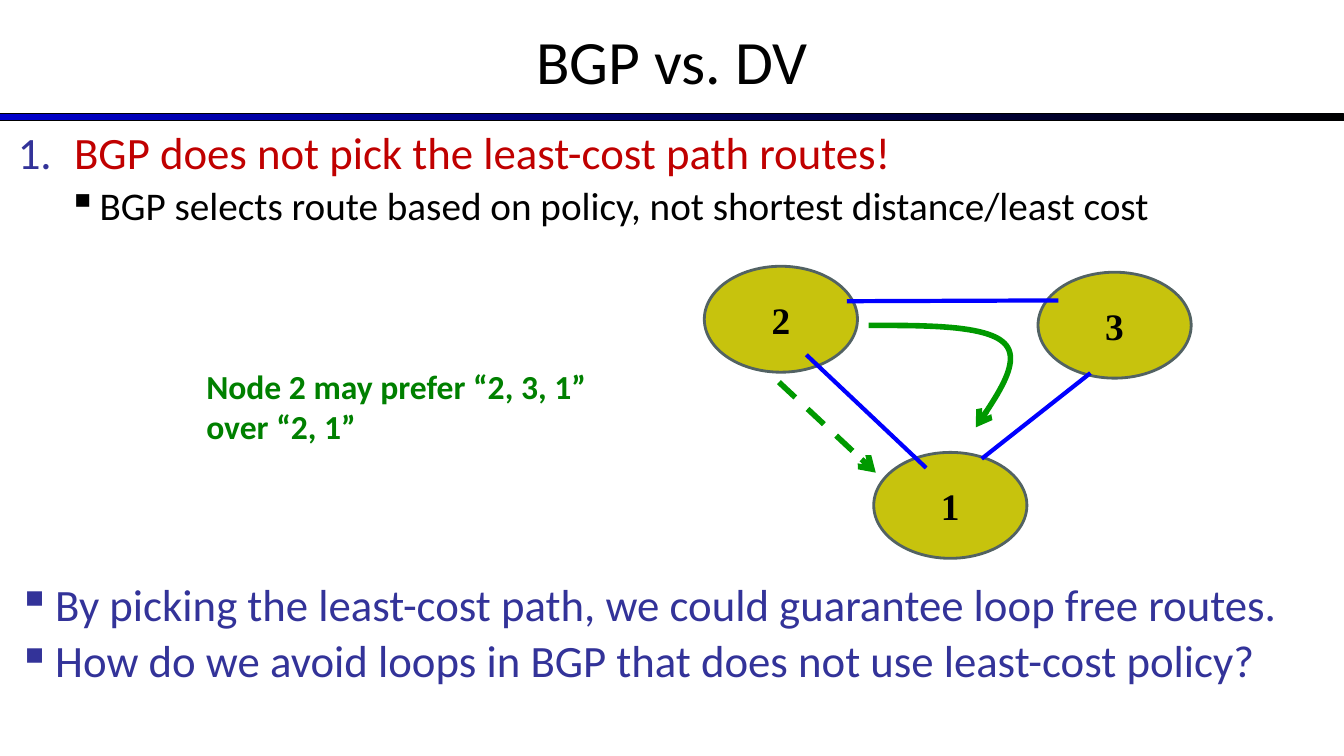
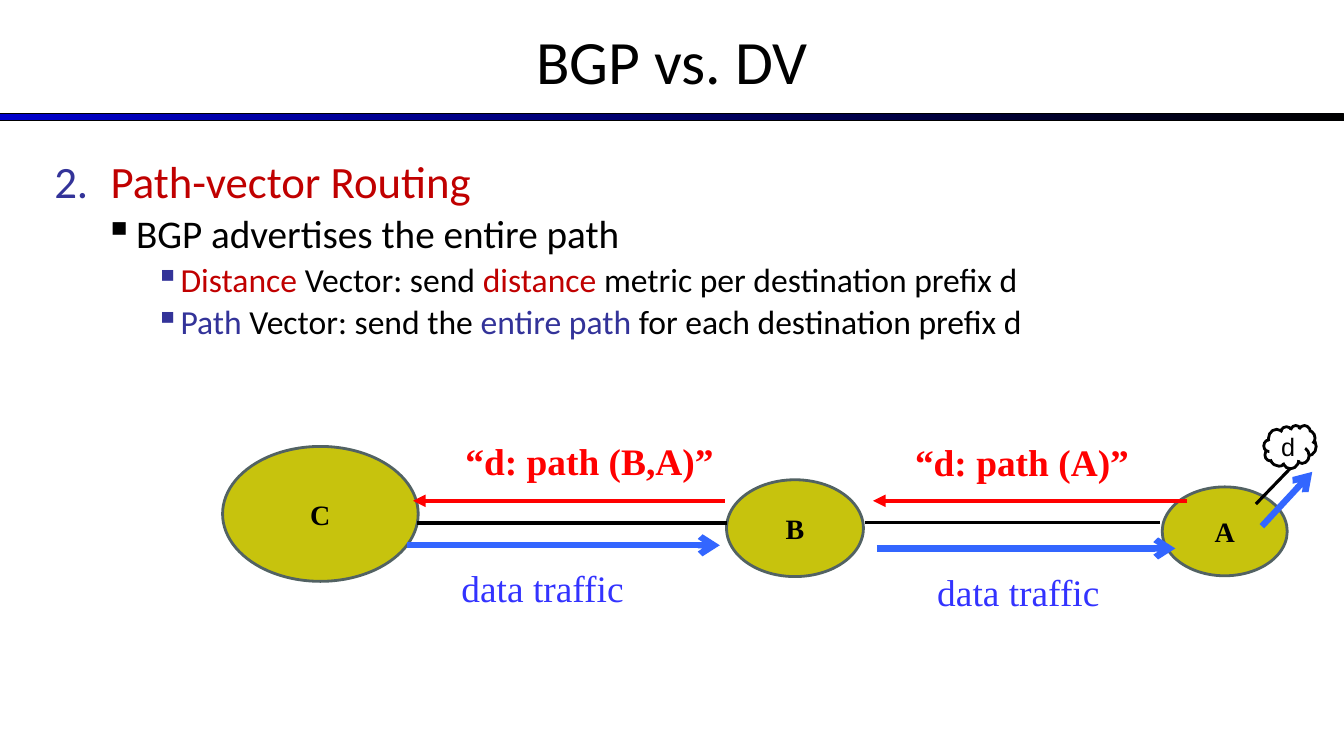
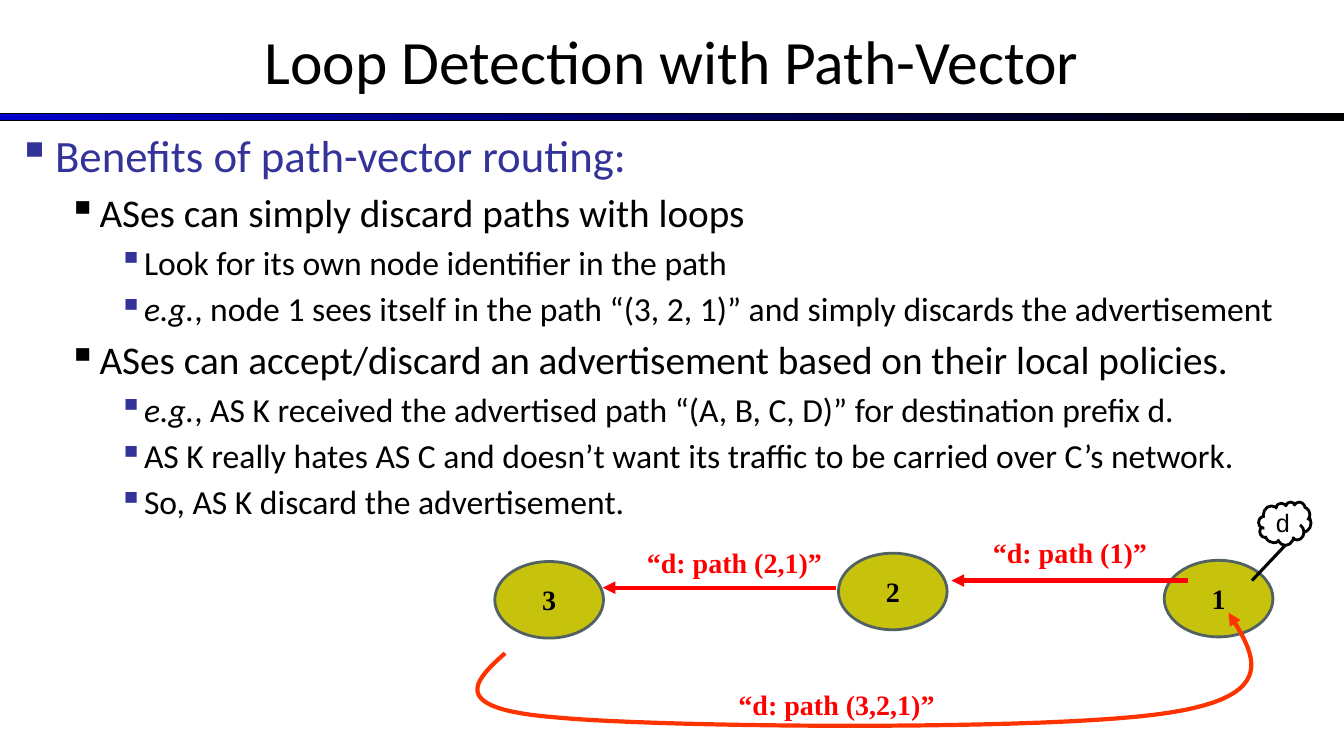
import pptx
import pptx.dml.color
import pptx.enum.dml
import pptx.enum.shapes
import pptx.enum.text
import pptx.oxml
import pptx.oxml.ns
import pptx.util

Cm, Pt = pptx.util.Cm, pptx.util.Pt
RGB = pptx.dml.color.RGBColor
SHAPE = pptx.enum.shapes.MSO_SHAPE
ALIGN = pptx.enum.text.PP_ALIGN
ANCHOR = pptx.enum.text.MSO_ANCHOR

BLACK = RGB(0x00, 0x00, 0x00)
BAND_BLUE = RGB(0x00, 0x00, 0xCC)
INDIGO = RGB(0x33, 0x33, 0x99)
CRIMSON = RGB(0xC0, 0x00, 0x00)
OLIVE = RGB(0xC5, 0xC0, 0x00)
SLATE = RGB(0x52, 0x62, 0x63)
BLUE = RGB(0x00, 0x00, 0xFF)
TRAFFIC_LINE = RGB(0x33, 0x66, 0xFF)
TRAFFIC_TEXT = RGB(0x33, 0x33, 0xFF)
GREEN = RGB(0x00, 0x99, 0x00)
DARK_GREEN = RGB(0x00, 0x80, 0x00)
RED = RGB(0xFF, 0x00, 0x00)
ORANGE_RED = RGB(0xFF, 0x33, 0x00)

SANS, SERIF = "Calibri", "Times New Roman"
SLIDE_W, SLIDE_H = 33.87, 19.05

# Outline levels: size, text colour, bullet colour, left margin, hanging indent
LEVELS = [
    (32, INDIGO, INDIGO, 0.94, 0.94),
    (28, BLACK, BLACK, 2.06, 0.79),
    (24, BLACK, INDIGO, 3.18, 0.64),
]
NUMBER_INDENT = 1.42

# Line styles: colour, width, arrowhead, dashed
LINK = (BLACK, 2.25, None, False)
PEERING = (BLUE, 3, None, False)
DIRECT = (GREEN, 4, "arrow", True)
PREFERRED = (GREEN, 4, "arrow", False)
TRAFFIC = (TRAFFIC_LINE, 4.5, "arrow", False)
ADVERT = (RED, 3, "triangle", False)
LOOP = (ORANGE_RED, 3, "triangle", False)

# Outlines: (left, top, width, height), line spacing, paragraphs.
# Paragraph: level, first number or None, runs of (text, colour, italic).
# Nodes: text, left, top. Lines: style, from, to. Labels: text, left, top, width.
SLIDES = [
    {
        "title": "BGP vs. DV",
        "outlines": [
            ((0.2, 3.18, 32.59, 2.6), 0.9, [
                (0, 1, [("BGP does not pick the least-cost path routes!", CRIMSON, False)]),
                (1, None, ["BGP selects route based on policy, not shortest distance/least cost"]),
            ]),
            ((0.2, 14.55, 33, 3), 0.9, [
                (0, None, ["By picking the least-cost path, we could guarantee loop free routes."]),
                (0, None, ["How do we avoid loops in BGP that does not use least-cost policy?"]),
            ]),
        ],
        "node_font": 26.7,
        "nodes": [("3", 26.16, 6.86, 3.86, 2.67), ("2", 17.75, 6.71, 3.86, 2.67),
                  ("1", 22.02, 11.4, 3.86, 2.67)],
        "lines": [
            (PEERING, (21.34, 7.59), (26.67, 7.57)),
            (PEERING, (27.48, 9.4), (24.74, 11.56)),
            (PEERING, (20.32, 8.94), (23.34, 11.79)),
            (DIRECT, (19.63, 9.63), (22.07, 11.91)),
        ],
        "curve": (PREFERRED, [(21.89, 8.2), (23.37, 8.2), (24.84, 8.2), (25.3, 8.64),
                              (25.76, 9.07), (25.17, 9.91), (24.59, 10.77)]),
        "note": ("Node 2 may prefer “2, 3, 1” over “2, 1”", (4.95, 9.09, 10.85, 2.31)),
    },
    {
        "title": "BGP vs. DV",
        "outlines": [
            ((1.12, 3.89, 31.47, 5.5), 0.9, [
                (0, 2, [("Path-vector Routing", CRIMSON, False)]),
                (1, None, ["BGP advertises the entire path"]),
                (2, None, [("Distance", CRIMSON, False), " Vector: send ",
                           ("distance", CRIMSON, False), " metric per destination prefix d"]),
                (2, None, [("Path", INDIGO, False), " Vector: send the ",
                           ("entire path ", INDIGO, False), "for each destination prefix d"]),
            ]),
        ],
        "node_font": 20,
        "nodes": [("A", 29.29, 12.27, 3.15, 2.24), ("B", 18.31, 12.09, 3.45, 2.44),
                  ("C", 5.61, 11.25, 4.93, 3.4)],
        "lines": [
            (TRAFFIC, (22.1, 13.82), (29.62, 13.82)),
            (TRAFFIC, (10.26, 13.74), (18.14, 13.74)),
            (TRAFFIC, (31.8, 13.26), (33.07, 11.89)),
            (ADVERT, (18.26, 12.62), (10.41, 12.62)),
            (ADVERT, (29.92, 12.62), (22, 12.62)),
            (LINK, (32.51, 11.81), (31.65, 12.7)),
            (LINK, (10.52, 13.18), (18.31, 13.18)),
            (LINK, (21.79, 13.16), (29.24, 13.16)),
        ],
        "label_font": 26.7,
        "adverts": [("“d: path (B,A)”", 11.48, 10.92, 6.83), ("“d: path (A)”", 22.81, 10.95, 5.97)],
        "traffic": [("data traffic", 11.38, 14.12, 4.65), ("data traffic", 23.37, 14.22, 4.65)],
        "prefix": (31.85, 10.72),
    },
    {
        "title": "Loop Detection with Path-Vector",
        "outlines": [
            ((0.2, 3.1, 33.45, 10.4), 1.0, [
                (0, None, ["Benefits of path-vector routing:"]),
                (1, None, ["ASes can simply discard paths with loops"]),
                (2, None, ["Look for its own node identifier in the path"]),
                (2, None, [("e.g.", BLACK, True), ", node 1 sees itself in the path “(3, 2, 1)” "
                           "and simply discards the advertisement"]),
                (1, None, ["ASes can accept/discard an advertisement based on their local policies."]),
                (2, None, [("e.g.", BLACK, True), ", AS K received the advertised path "
                           "“(A, B, C, D)” for destination prefix d."]),
                (2, None, ["AS K really hates AS C and doesn’t want its traffic "
                           "to be carried over C’s network."]),
                (2, None, ["So, AS K discard the advertisement."]),
            ]),
        ],
        "node_font": 20,
        "nodes": [("2", 21.13, 13.94, 2.74, 1.93), ("1", 29.34, 14.12, 2.74, 1.93),
                  ("3", 12.47, 14.15, 2.74, 1.93)],
        "lines": [
            (ADVERT, (21.06, 14.81), (15.19, 14.81)),
            (ADVERT, (29.95, 14.63), (23.98, 14.63)),
            (LINK, (32.39, 13.74), (31.55, 14.63)),
        ],
        "curve": (LOOP, [(12.73, 16.46), (11.96, 17.15), (11.23, 17.86), (14.02, 18.08),
                         (16.79, 18.34), (26.64, 18.42), (29.46, 17.96),
                         (32.28, 17.53), (31.62, 16.48), (30.96, 15.44)]),
        "label_font": 20,
        "adverts": [("“d: path (2,1)”", 16.05, 13.61, 4.98), ("“d: path (1)”", 24.77, 13.36, 4.45),
                    ("“d: path (3,2,1)”", 18.36, 17.2, 5.51)],
        "prefix": (31.72, 12.65),
    },
]


def add_element(parent, tag, **attributes):
    child = pptx.oxml.parse_xml(f"<a:{tag} {pptx.oxml.ns.nsdecls('a')}/>")
    for name, value in attributes.items():
        child.set(name, str(value))
    parent.append(child)
    return child


def cm_box(box):
    return [Cm(length) for length in box]


def set_font(font, name, size, colour, bold=None):
    font.name, font.size, font.bold = name, Pt(size), bold
    font.color.rgb = colour


def style_line(shape, style):
    colour, width, arrowhead, dashed = style
    shape.line.color.rgb = colour
    shape.line.width = Pt(width)
    if dashed:
        shape.line.dash_style = pptx.enum.dml.MSO_LINE.DASH
    if arrowhead:
        add_element(shape.element.spPr.get_or_add_ln(), "tailEnd", type=arrowhead)


def add_shape(slide, preset, box, outline, width):
    shape = slide.shapes.add_shape(preset, *cm_box(box))
    shape.shadow.inherit = False
    shape.line.color.rgb = outline
    shape.line.width = Pt(width)
    return shape


def centre_text(shape, text, name, size, bold=None):
    frame = shape.text_frame
    frame.margin_left = frame.margin_right = frame.margin_top = frame.margin_bottom = 0
    frame.vertical_anchor = ANCHOR.MIDDLE
    frame.word_wrap = False
    frame.text = text
    frame.paragraphs[0].alignment = ALIGN.CENTER
    set_font(frame.paragraphs[0].font, name, size, BLACK, bold)


def add_title_band(slide, layout):
    """Draw the gradient band and hand it to the layout that all slides share."""
    band = add_shape(slide, SHAPE.RECTANGLE, (0, 2.87, SLIDE_W, 0.18), BLACK, 0.75)
    band.fill.gradient()
    band.fill.gradient_angle = 0
    for stop, colour in zip(band.fill.gradient_stops, (BAND_BLUE, BLACK)):
        stop.color.rgb = colour
    layout.shapes.element.append(band.element)


def set_title(slide, text):
    title = slide.shapes.title
    title.left, title.top, title.width, title.height = cm_box((0, -0.08, SLIDE_W, 3.18))
    title.text_frame.vertical_anchor = ANCHOR.MIDDLE
    title.text_frame.text = text
    paragraph = title.text_frame.paragraphs[0]
    paragraph.alignment = ALIGN.CENTER
    set_font(paragraph.font, SANS, 44, BLACK)


def add_outline(slide, box, spacing, items):
    frame = slide.shapes.add_textbox(*cm_box(box)).text_frame
    frame.word_wrap = True
    for index, (level, number, runs) in enumerate(items):
        paragraph = frame.add_paragraph() if index else frame.paragraphs[0]
        size, colour, bullet_colour, margin, hanging = LEVELS[level]
        if number:
            margin = hanging = NUMBER_INDENT
        paragraph.level = level
        paragraph.line_spacing = spacing
        if index:
            paragraph.space_before = Pt(round(0.18 * size, 1))
        # Bullet or number
        properties = paragraph._p.get_or_add_pPr()
        properties.set("marL", str(Cm(margin)))
        properties.set("indent", str(-Cm(hanging)))
        add_element(add_element(properties, "buClr"), "srgbClr", val=bullet_colour)
        if number:
            add_element(properties, "buAutoNum", type="arabicPeriod", startAt=number)
        else:
            add_element(properties, "buChar", char="▪")
        set_font(paragraph.font, SANS, size, colour)
        for part in runs:
            run = paragraph.add_run()
            if isinstance(part, str):
                run.text = part
            else:
                run.text, run.font.color.rgb, italic = part
                run.font.italic = italic or None


def add_node(slide, text, size, box):
    node = add_shape(slide, SHAPE.OVAL, box, SLATE, 2)
    node.fill.solid()
    node.fill.fore_color.rgb = OLIVE
    fill_colour = node.element.spPr.find(".//" + pptx.oxml.ns.qn("a:srgbClr"))
    add_element(fill_colour, "alpha", val=95000)
    centre_text(node, text, SERIF, size, True)


def add_line(slide, style, start, end):
    line = slide.shapes.add_connector(
        pptx.enum.shapes.MSO_CONNECTOR.STRAIGHT, *cm_box(start + end))
    style_line(line, style)
    add_element(line.element.spPr, "effectLst")


def bezier_points(controls, steps=24):
    """Points along joined cubic curves; each curve starts where the last one ends."""
    points = [controls[0]]
    for first in range(0, len(controls) - 1, 3):
        a, b, c, d = controls[first:first + 4]
        for step in range(1, steps + 1):
            t = step / steps
            u = 1 - t
            points.append(tuple(
                u**3 * a[k] + 3 * u * u * t * b[k] + 3 * u * t * t * c[k] + t**3 * d[k]
                for k in (0, 1)))
    return [(Cm(x), Cm(y)) for x, y in points]


def add_curve(slide, style, controls):
    start, *rest = bezier_points(controls)
    builder = slide.shapes.build_freeform(*start)
    builder.add_line_segments(rest, close=False)
    curve = builder.convert_to_shape()
    curve.shadow.inherit = False
    curve.fill.background()
    style_line(curve, style)


def add_label(slide, text, box, name, size, colour, bold=None, wrap=False):
    frame = slide.shapes.add_textbox(*cm_box(box)).text_frame
    frame.word_wrap = wrap
    frame.auto_size = pptx.enum.text.MSO_AUTO_SIZE.SHAPE_TO_FIT_TEXT
    frame.text = text
    set_font(frame.paragraphs[0].font, name, size, colour, bold)


def fill_slide(slide, content):
    set_title(slide, content["title"])
    for outline in content["outlines"]:
        add_outline(slide, *outline)
    # Network diagram
    for text, *box in content["nodes"]:
        add_node(slide, text, content["node_font"], box)
    for line in content["lines"]:
        add_line(slide, *line)
    if "curve" in content:
        add_curve(slide, *content["curve"])
    if "prefix" in content:
        cloud = add_shape(slide, SHAPE.CLOUD, (*content["prefix"], 1.32, 1.09), BLACK, 2)
        cloud.fill.background()
        centre_text(cloud, "d", "Arial", 18)
    # Labels
    for group, colour, bold in (("adverts", RED, True), ("traffic", TRAFFIC_TEXT, None)):
        for text, left, top, width in content.get(group, []):
            size = content["label_font"]
            height = round(size * 0.042 + 0.28, 2)
            add_label(slide, text, (left, top, width, height), SERIF, size, colour, bold)
    if "note" in content:
        text, box = content["note"]
        add_label(slide, text, box, SANS, 24, DARK_GREEN, True, wrap=True)


def main():
    deck = pptx.Presentation()
    deck.slide_width, deck.slide_height = Cm(SLIDE_W), Cm(SLIDE_H)
    title_only = deck.slide_layouts[5]
    for index, content in enumerate(SLIDES):
        slide = deck.slides.add_slide(title_only)
        if index == 0:
            add_title_band(slide, title_only)
        fill_slide(slide, content)
    deck.save("out.pptx")


if __name__ == "__main__":
    main()
